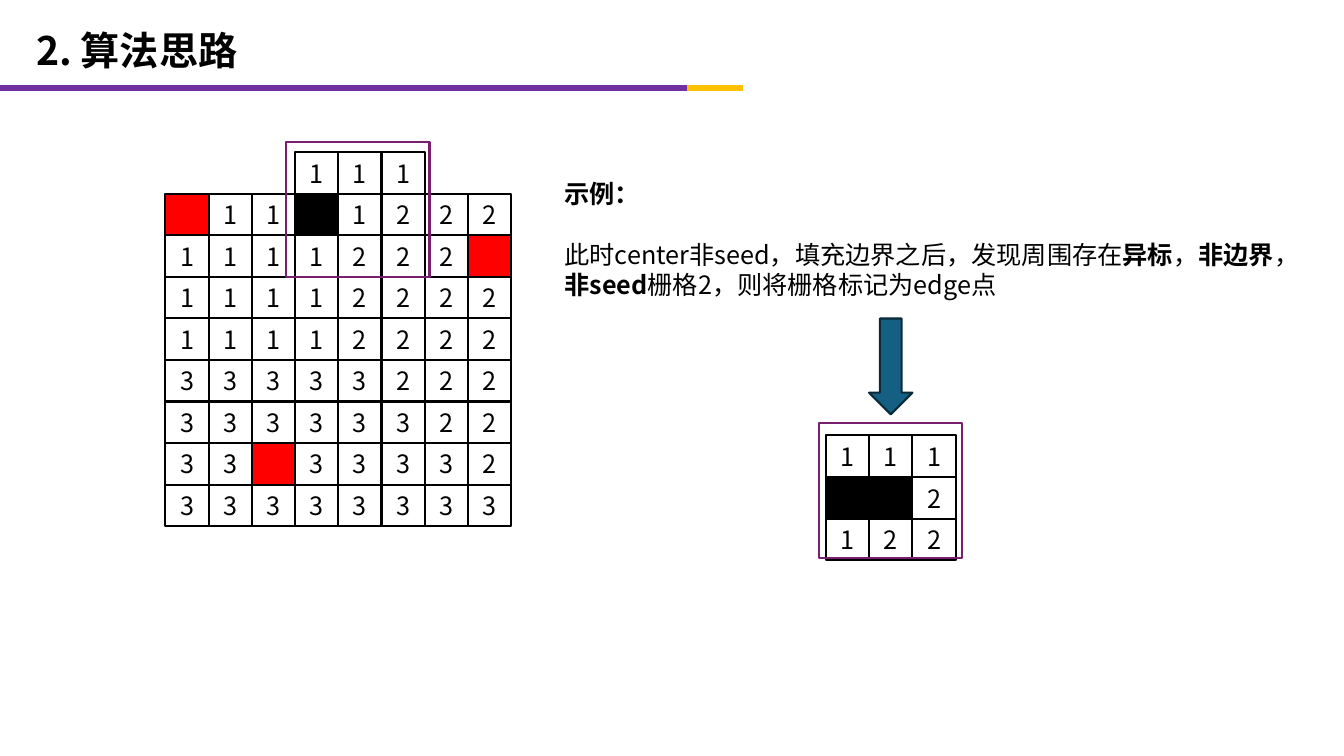
from lxml import etree
from pptx import Presentation
from pptx.dml.color import RGBColor
from pptx.enum.shapes import MSO_CONNECTOR as Connector, MSO_SHAPE as Shape
from pptx.enum.text import MSO_ANCHOR as Anchor, PP_ALIGN as Align
from pptx.oxml.ns import qn
from pptx.util import Inches, Pt

BLACK = RGBColor(0x00, 0x00, 0x00)
RED = RGBColor(0xFF, 0x00, 0x00)
PURPLE = RGBColor(0x70, 0x30, 0xA0)
GOLD = RGBColor(0xFF, 0xC0, 0x00)
PLUM = RGBColor(0x78, 0x20, 0x6E)
TEAL = RGBColor(0x15, 0x60, 0x82)
DARK_TEAL = RGBColor(0x09, 0x2A, 0x39)
FONT = "Noto Sans CJK SC"

SEED, EDGE, EMPTY = "S", "E", "."
MARK_FILLS = {SEED: RED, EDGE: BLACK}
LABEL_ROWS = [
    "...111..",
    "S11E1222",
    "1111222S",
    "11112222",
    "11112222",
    "33333222",
    "33333322",
    "33S33332",
    "33333333",
]
WINDOW_ROWS = ["111", "EE2", "122"]


def add_run(paragraph, text, size, bold=False):
    run = paragraph.add_run()
    run.text = text
    run.font.size = Pt(size)
    run.font.bold = bold
    run.font.color.rgb = BLACK
    run.font.name = FONT
    east_asian = etree.SubElement(run.font._element, qn("a:ea"))
    east_asian.set("typeface", FONT)


def add_outlined(slide, preset, box, line, fill=None):
    outlined = slide.shapes.add_shape(preset, *map(Inches, box))
    outlined.shadow.inherit = False
    outlined.line.color.rgb = line
    outlined.line.width = Pt(1.5)
    if fill is None:
        outlined.fill.background()
    else:
        outlined.fill.solid()
        outlined.fill.fore_color.rgb = fill
    return outlined


def add_text_frame(slide, box):
    frame = slide.shapes.add_textbox(*map(Inches, box)).text_frame
    frame.word_wrap = True
    return frame


def add_heading(slide, box):
    left, top, width, height = box
    title = add_text_frame(slide, (left + 0.26, top + 0.21, 3.85, 0.57))
    add_run(title.paragraphs[0], "2. 算法思路", 28, True)
    split = left + width - 0.56
    bottom = top + height
    for start, end, color in ((left, split, PURPLE), (split, left + width, GOLD)):
        rule = slide.shapes.add_connector(
            Connector.STRAIGHT, *map(Inches, (start, bottom, end, bottom)))
        rule.line.color.rgb = color
        rule.line.width = Pt(4.5)
        etree.SubElement(rule._element.spPr, qn("a:effectLst"))


def add_raster(slide, box, rows):
    left, top, width, height = box
    cell_width = width / len(rows[0])
    cell_height = height / len(rows)
    for row, marks in enumerate(rows):
        for column, mark in enumerate(marks):
            if mark == EMPTY:
                continue
            cell_box = (left + column * cell_width, top + row * cell_height,
                        cell_width, cell_height)
            cell = add_outlined(slide, Shape.RECTANGLE, cell_box, BLACK, MARK_FILLS.get(mark))
            if mark not in MARK_FILLS:
                cell.text_frame.vertical_anchor = Anchor.MIDDLE
                label = cell.text_frame.paragraphs[0]
                label.alignment = Align.CENTER
                add_run(label, mark, 18)


def add_explanation(slide, box):
    frame = add_text_frame(slide, box)
    add_run(frame.paragraphs[0], "示例：", 18, True)
    detail = frame.add_paragraph()
    detail.space_before = Pt(22)
    for text, bold in (
        ("此时center非seed，填充边界之后，发现周围存在", False),
        ("异标", True),
        ("，", False),
        ("非边界", True),
        ("，", False),
        ("非seed", True),
        ("栅格2，则将栅格标记为edge点", False),
    ):
        add_run(detail, text, 18, bold)


def add_result(slide, box):
    left, top, width, height = box
    add_outlined(slide, Shape.DOWN_ARROW, (left + 0.5, top, 0.43, 0.95), DARK_TEAL, TEAL)
    add_raster(slide, (left + 0.07, top + 1.16, 1.29, 1.24), WINDOW_ROWS)
    add_outlined(slide, Shape.RECTANGLE, (left, top + 1.04, width, height - 1.04), PLUM)


def main():
    deck = Presentation()
    deck.slide_width = Inches(13.33)
    deck.slide_height = Inches(7.5)
    slide = deck.slides.add_slide(deck.slide_layouts[6])
    add_heading(slide, (0, 0, 7.37, 0.87))
    add_raster(slide, (1.64, 1.51, 3.43, 3.71), LABEL_ROWS)
    add_outlined(slide, Shape.RECTANGLE, (2.84, 1.41, 1.42, 1.34), PLUM)
    add_explanation(slide, (5.5, 1.72, 7.61, 1.31))
    add_result(slide, (8.12, 3.16, 1.42, 2.38))
    deck.save("out.pptx")


if __name__ == "__main__":
    main()
